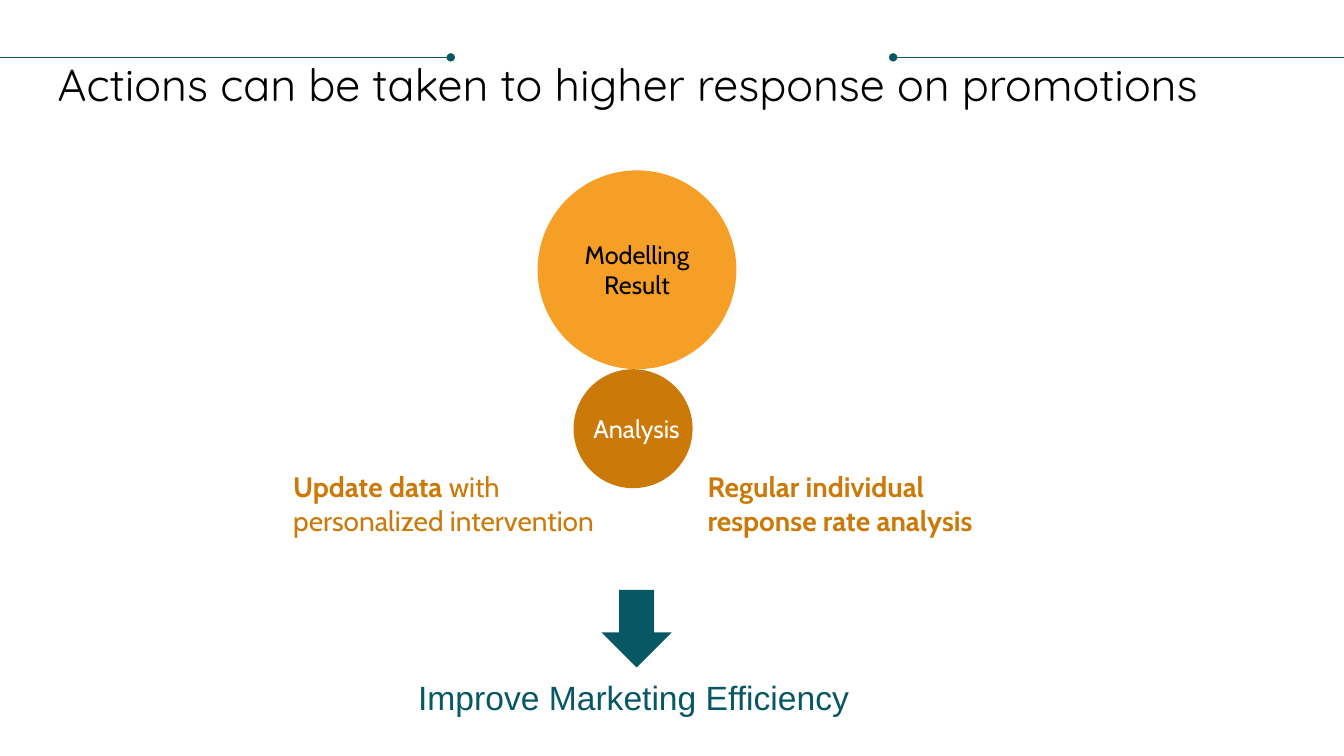
from dataclasses import dataclass

import pptx
import pptx.dml.color
import pptx.enum.shapes
import pptx.enum.text
import pptx.oxml
import pptx.oxml.ns
import pptx.util

Pt = pptx.util.Pt
Shapes = pptx.enum.shapes.MSO_SHAPE
Align = pptx.enum.text.PP_ALIGN
Anchor = pptx.enum.text.MSO_ANCHOR

COLORS = {
    "black": "000000",
    "white": "FFFFFF",
    "orange": "F59F26",
    "amber": "CB7A09",
    "teal": "085764",
}
PAGE_WIDTH, PAGE_HEIGHT = 960, 540
RULE_TOP, RULE_LENGTH = 41, 322


@dataclass
class Figure:
    kind: int
    left: float
    top: float
    width: float
    height: float
    color: str


@dataclass
class Caption:
    left: float
    top: float
    width: float
    height: float
    spans: list[tuple[str, bool]]  # text, bold
    size: float
    color: str
    font: str = "Cabin"
    align: int = Align.LEFT


def rgb(name: str) -> pptx.dml.color.RGBColor:
    return pptx.dml.color.RGBColor.from_string(COLORS[name])


def write(frame, spans, *, size, color, font="Cabin", align=Align.LEFT,
          anchor=Anchor.TOP, line_spacing=1.0) -> None:
    frame.word_wrap = True
    frame.auto_size = pptx.enum.text.MSO_AUTO_SIZE.NONE
    frame.vertical_anchor = anchor
    para = frame.paragraphs[0]
    para.alignment = align
    para.line_spacing = line_spacing
    for text, bold in spans:
        span = para.add_run()
        span.text = text
        span.font.name = font
        span.font.size = Pt(size)
        span.font.bold = bold
        span.font.color.rgb = rgb(color)


def draw_figure(page, figure: Figure):
    shape = page.shapes.add_shape(
        figure.kind, Pt(figure.left), Pt(figure.top), Pt(figure.width), Pt(figure.height))
    shape.shadow.inherit = False
    shape.fill.solid()
    shape.fill.fore_color.rgb = rgb(figure.color)
    shape.line.fill.background()
    return shape


def draw_caption(page, caption: Caption) -> None:
    box = page.shapes.add_textbox(
        Pt(caption.left), Pt(caption.top), Pt(caption.width), Pt(caption.height))
    write(box.text_frame, caption.spans, size=caption.size, color=caption.color,
          font=caption.font, align=caption.align)


def draw_rule(page, edge: float, inner: float) -> None:
    """Draw a thin line from the page edge to a dot at its inner end."""
    rule = page.shapes.add_connector(
        pptx.enum.shapes.MSO_CONNECTOR.STRAIGHT,
        Pt(edge), Pt(RULE_TOP), Pt(inner), Pt(RULE_TOP))
    rule.line.color.rgb = rgb("teal")
    rule.line.width = Pt(0.5)
    dot = pptx.oxml.parse_xml(
        f'<a:tailEnd {pptx.oxml.ns.nsdecls("a")} type="oval"/>')
    rule.line._get_or_add_ln().append(dot)
    effects = pptx.oxml.parse_xml(f'<a:effectLst {pptx.oxml.ns.nsdecls("a")}/>')
    rule._element.spPr.append(effects)


deck = pptx.Presentation()
deck.slide_width, deck.slide_height = Pt(PAGE_WIDTH), Pt(PAGE_HEIGHT)
page = deck.slides.add_slide(deck.slide_layouts.get_by_name("Title Only"))

# Title
title = page.shapes.title
title.left, title.top, title.width, title.height = Pt(34), Pt(41), Pt(898), Pt(56)
write(title.text_frame, [("Actions can be taken to higher response on promotions", False)],
      size=32, color="black", font="Quicksand", line_spacing=0.9)

# Rules on both sides of the page
draw_rule(page, 0, RULE_LENGTH)
draw_rule(page, PAGE_WIDTH, PAGE_WIDTH - RULE_LENGTH)

# Circles and arrow
result = draw_figure(page, Figure(Shapes.OVAL, 384, 121.7, 142, 142, "orange"))
write(result.text_frame, [("Modelling Result", False)], size=18, color="black",
      align=Align.CENTER, anchor=Anchor.MIDDLE)
draw_figure(page, Figure(Shapes.OVAL, 409.7, 263.7, 85, 85, "amber"))
draw_figure(page, Figure(Shapes.DOWN_ARROW, 429.8, 421.4, 50, 55.4, "teal"))

# Captions
captions = [
    Caption(415.4, 291.6, 78.5, 29, [("Analysis", False)], 18, "white", align=Align.CENTER),
    Caption(202.3, 332, 250, 55.4,
            [("Update data ", True), ("with personalized intervention", False)], 20, "amber"),
    Caption(498.3, 332, 209.5, 55.4,
            [("Regular individual response rate analysis", True)], 20, "amber"),
    Caption(291.6, 480.2, 326, 36,
            [("Improve Marketing Efficiency", False)], 24, "teal", font="Arial"),
]
for caption in captions:
    draw_caption(page, caption)

deck.save("out.pptx")
